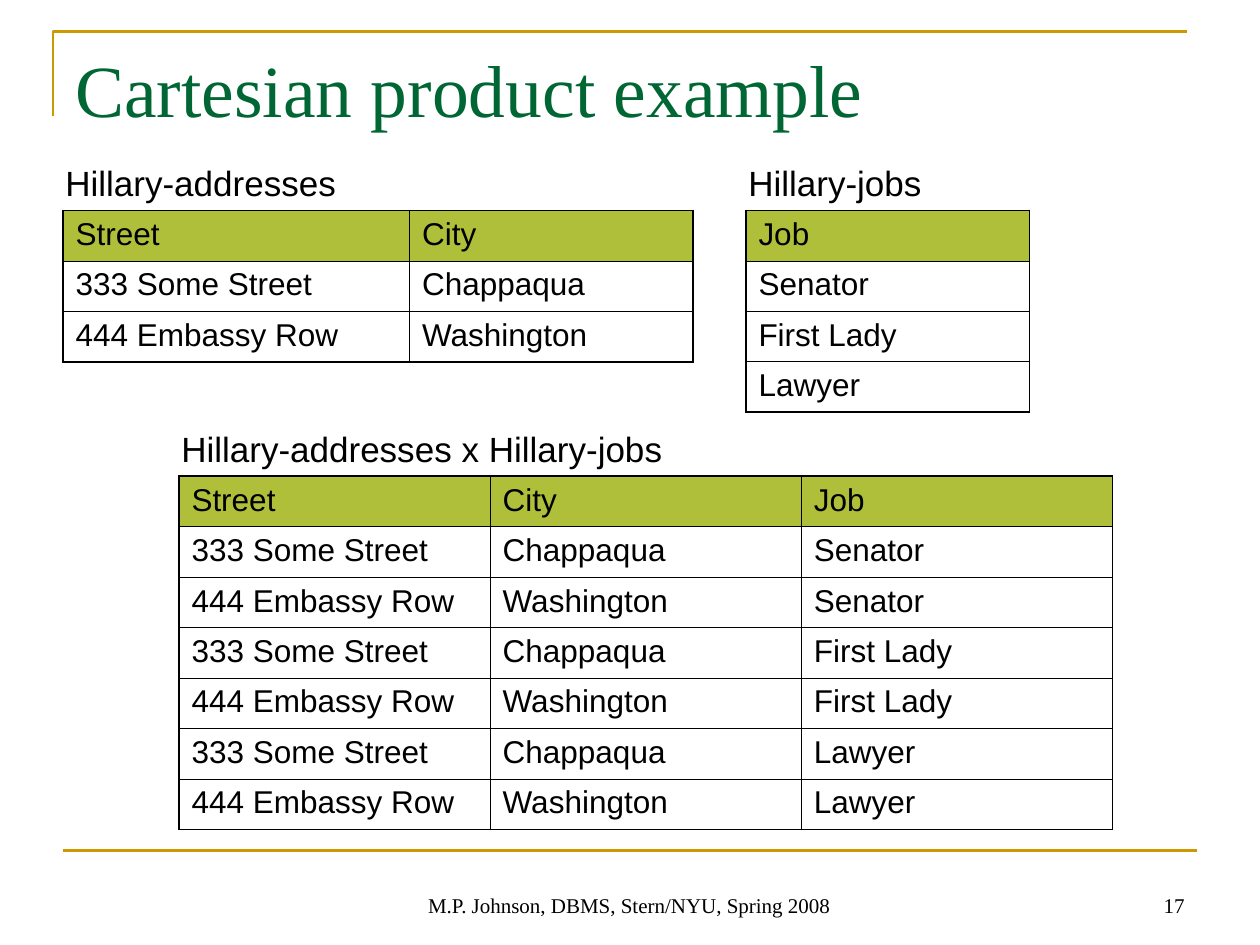
from itertools import product

from lxml import etree
from pptx import Presentation
from pptx import util as u
from pptx.dml.color import RGBColor
from pptx.enum import shapes, text
from pptx.oxml.ns import qn

BLACK = RGBColor(0x00, 0x00, 0x00)
GREEN = RGBColor(0x00, 0x66, 0x33)
GOLD = RGBColor(0xCC, 0x99, 0x00)
OLIVE = RGBColor(0xAF, 0xBF, 0x39)

SERIF, SANS = "Times New Roman", "Arial"
ROW_HEIGHT = 0.4
OUTER, INNER = u.Pt(1.08), u.Pt(0.45)

ADDRESSES = [("333 Some Street", "Chappaqua"), ("444 Embassy Row", "Washington")]
JOBS = [("Senator",), ("First Lady",), ("Lawyer",)]


def add_text(page, words, left, top, width, height, size, font=SERIF, color=BLACK,
             align=text.PP_ALIGN.LEFT, anchor=text.MSO_ANCHOR.TOP, wrap=True):
    box = page.shapes.add_textbox(*map(u.Inches, (left, top, width, height)))
    frame = box.text_frame
    frame.word_wrap = wrap
    frame.vertical_anchor = anchor
    para = frame.paragraphs[0]
    para.text = words
    para.alignment = align
    style_text(para, size, font, color)


def style_text(para, size, font, color):
    para.font.size = u.Pt(size)
    para.font.name = font
    para.font.color.rgb = color


def add_frame(page):
    # Corner rule around the title
    builder = page.shapes.build_freeform(u.Inches(0.42), u.Inches(0.92))
    builder.add_line_segments(
        [(u.Inches(0.42), u.Inches(0.25)), (u.Inches(9.42), u.Inches(0.25))], close=False)
    corner = builder.convert_to_shape()
    corner.fill.background()
    corner.shadow.inherit = False

    # Rule above the footer
    rule = page.shapes.add_connector(
        shapes.MSO_CONNECTOR.STRAIGHT, *map(u.Inches, (0.5, 6.75, 9.5, 6.75)))
    etree.SubElement(rule._element.spPr, qn("a:effectLst"))

    for shape in (corner, rule):
        shape.line.color.rgb = GOLD
        shape.line.width = u.Pt(1.5)


def set_borders(cell, widths):
    props = cell._tc.get_or_add_tcPr()
    for index, (side, width) in enumerate(zip("LRTB", widths)):
        line = etree.Element(qn(f"a:ln{side}"), w=str(width))
        fill = etree.SubElement(line, qn("a:solidFill"))
        etree.SubElement(fill, qn("a:srgbClr"), val=str(BLACK))
        props.insert(index, line)


def add_relation(page, name, rows, left, top, widths):
    """Draw a relation as a table with its name above it."""
    add_text(page, name, left - 0.08, top - 0.44, sum(widths), 0.44, 20, SANS, wrap=False)
    table = page.shapes.add_table(
        len(rows), len(widths), u.Inches(left), u.Inches(top),
        u.Inches(sum(widths)), u.Inches(ROW_HEIGHT * len(rows))).table
    table.first_row = table.horz_banding = False
    for column, width in zip(table.columns, widths):
        column.width = u.Inches(width)

    last_row, last_column = len(rows) - 1, len(widths) - 1
    for r, row in enumerate(rows):
        table.rows[r].height = u.Inches(ROW_HEIGHT)
        for c, value in enumerate(row):
            cell = table.cell(r, c)
            para = cell.text_frame.paragraphs[0]
            para.text = value
            style_text(para, 18, SANS, BLACK)
            if r == 0:
                cell.fill.solid()
                cell.fill.fore_color.rgb = OLIVE
            else:
                cell.fill.background()
            edges = (c == 0, c == last_column, r == 0, r == last_row)
            set_borders(cell, [OUTER if edge else INNER for edge in edges])


def main():
    deck = Presentation()
    deck.slide_width, deck.slide_height = u.Inches(10), u.Inches(7.5)
    page = deck.slides.add_slide(deck.slide_layouts[6])

    # Frame, footer and title
    add_frame(page)
    bottom = text.MSO_ANCHOR.BOTTOM
    add_text(page, "M.P. Johnson, DBMS, Stern/NYU, Spring 2008", 3.08, 6.83, 3.83, 0.5, 12,
             align=text.PP_ALIGN.CENTER, anchor=bottom)
    add_text(page, "17", 7.17, 6.83, 2.33, 0.5, 12,
             align=text.PP_ALIGN.RIGHT, anchor=bottom)
    add_text(page, "Cartesian product example", 0.5, 0.3, 9, 0.78, 42, color=GREEN)

    # The two relations and their product
    address_head, job_head = ("Street", "City"), ("Job",)
    pairs = [address + job for job, address in product(JOBS, ADDRESSES)]
    add_relation(page, "Hillary-addresses", [address_head] + ADDRESSES,
                 0.5, 1.67, [2.75, 2.25])
    add_relation(page, "Hillary-jobs", [job_head] + JOBS, 5.92, 1.67, [2.25])
    add_relation(page, "Hillary-addresses x Hillary-jobs",
                 [address_head + job_head] + pairs, 1.42, 3.78, [2.47] * 3)

    deck.save("out.pptx")


if __name__ == "__main__":
    main()
